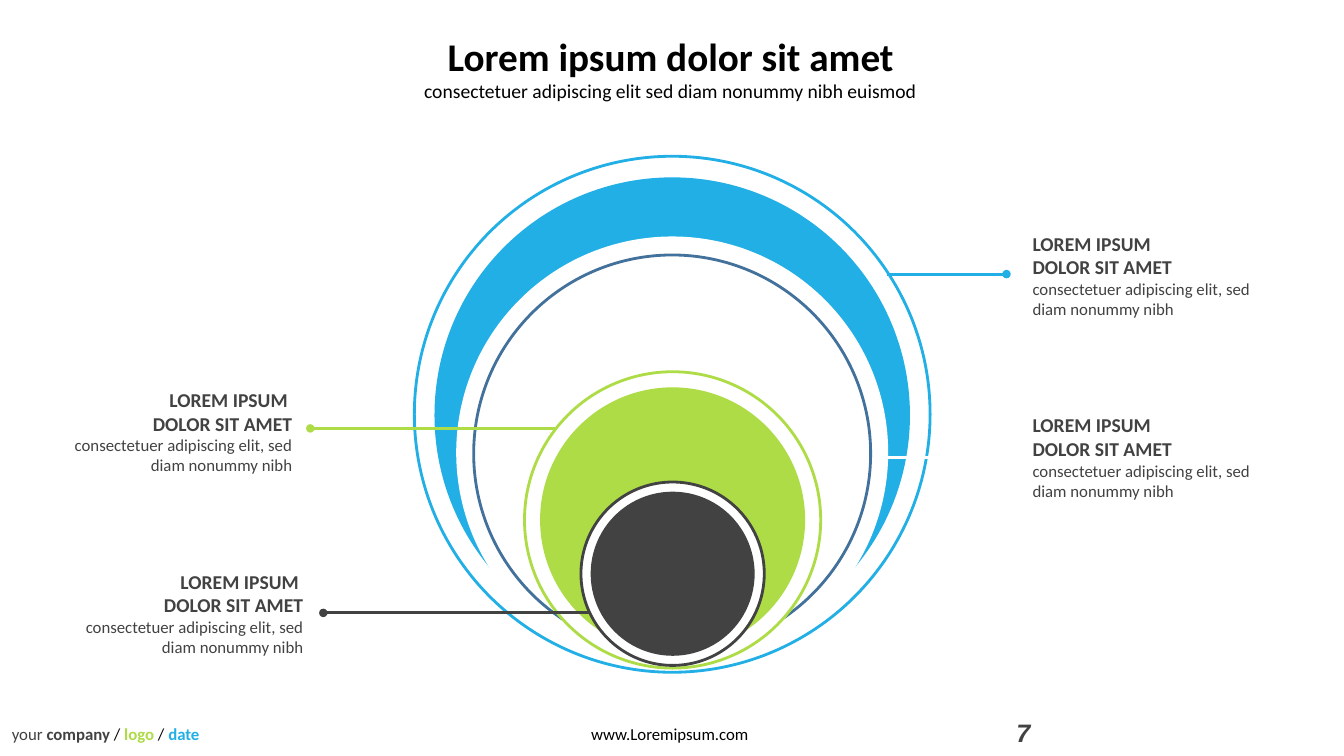
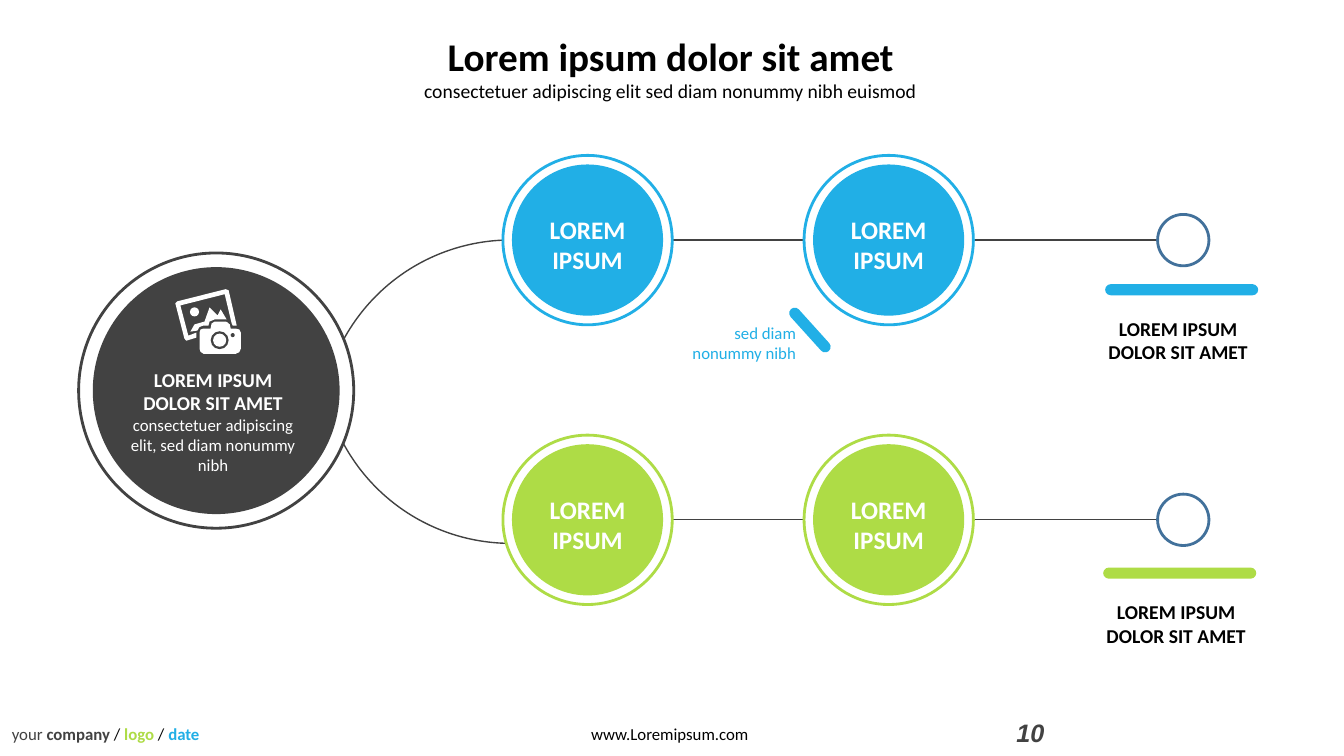
from pptx import Presentation
from pptx.dml.color import RGBColor
from pptx.enum.shapes import MSO_CONNECTOR, MSO_SHAPE
from pptx.enum.text import MSO_ANCHOR, MSO_AUTO_SIZE, PP_ALIGN
from pptx.oxml.ns import qn
from pptx.util import Pt
from lxml.etree import SubElement

BLUE = RGBColor(0x21, 0xAF, 0xE6)
GREEN = RGBColor(0xAE, 0xDC, 0x46)
DARK = RGBColor(0x42, 0x42, 0x42)
NAVY = RGBColor(0x42, 0x71, 0x9B)
WHITE = RGBColor(0xFF, 0xFF, 0xFF)
BLACK = RGBColor(0, 0, 0)
LEFT, MID, RIGHT = PP_ALIGN.LEFT, PP_ALIGN.CENTER, PP_ALIGN.RIGHT

FRAME = [(128.9, 218.2), (160.6, 210.2), (165.6, 231.1), (166.3, 232.6), (169.2, 232.6),
         (163.4, 207.4), (161.3, 206.6), (126.7, 215.3), (125.3, 216.7), (131.8, 241.9),
         (133.2, 243.4), (140.4, 241.2), (140.4, 237.6), (134.6, 239.8)]
HILLS = [(145.4, 232.6), (149, 232.6), (149.8, 229.7), (153.4, 228.2), (162, 228.2),
         (157.7, 221), (155.5, 225.4), (149.8, 219.6), (146.2, 229.7), (139, 231.8),
         (136.1, 236.9), (141.1, 236.2), (142.6, 233.6)]
CAMERA = [(172.1, 237.6), (171, 235.4), (168.5, 234.7), (164.9, 234.7), (164.2, 231.8),
          (162.7, 230.4), (161.3, 229.7), (153.4, 229.7), (151.2, 231.1), (150.5, 234.7),
          (145.4, 234.7), (143.3, 235.4), (142.6, 237.6), (142.6, 249.1), (143.3, 251.3),
          (145.4, 252.7), (168.5, 252.7), (171, 251.6), (172.1, 249.1)]


class Deck:
    font = "Calibri"

    def __init__(self):
        self.prs = Presentation()
        self.prs.slide_width, self.prs.slide_height = Pt(960.48), Pt(540)

    def page(self, number):
        self.slide = self.prs.slides.add_slide(self.prs.slide_layouts[5])
        self.shapes = self.slide.shapes
        title = self.shapes.title
        title.left, title.top, title.width, title.height = Pt(286.6), Pt(19.4), Pt(385.2), Pt(57.6)
        self.fill(title.text_frame, [
            [("Lorem ipsum dolor sit amet", 28, BLACK, True)],
            [("consectetuer adipiscing elit sed diam nonummy nibh euismod", 14, BLACK, False)],
        ], MID)
        self.text(415.4, 513.4, 140, 21.6, [[("www.Loremipsum.com", 12, BLACK, False)]])
        self.text(1.4, 513.4, 160, 21.6, [[
            ("your ", 12, DARK, False), ("company ", 12, DARK, True),
            ("/ ", 12, BLACK, False), ("logo ", 12, GREEN, True),
            ("/ ", 12, BLACK, False), ("date", 12, BLUE, True)]])
        box = self.text(719.3, 509, 216, 28.8, [[(number, 18, DARK, True)]])
        face = box.text_frame.paragraphs[0].runs[0].font
        face.name, face.italic = "Arial", True

    def fill(self, frame, paras, align):
        frame.word_wrap = True
        frame.auto_size = MSO_AUTO_SIZE.NONE
        frame.vertical_anchor = MSO_ANCHOR.TOP
        for i, runs in enumerate(paras):
            para = frame.paragraphs[0] if i == 0 else frame.add_paragraph()
            para.alignment = align
            for words, size, color, bold in runs:
                run = para.add_run()
                run.text = words
                face = run.font
                face.name, face.size, face.bold = self.font, Pt(size), bold
                face.color.rgb = color

    def text(self, x, y, w, h, paras, align=LEFT):
        box = self.shapes.add_textbox(Pt(x), Pt(y), Pt(w), Pt(h))
        self.fill(box.text_frame, paras, align)
        return box

    def paint(self, shape, fill=None, line=None, width=2):
        shape.shadow.inherit = False
        if fill is None:
            shape.fill.background()
        else:
            shape.fill.solid()
            shape.fill.fore_color.rgb = fill
        if line is None:
            shape.line.fill.background()
        else:
            shape.line.color.rgb = line
            shape.line.width = Pt(width)
        return shape

    def shape(self, kind, x, y, w, h):
        return self.shapes.add_shape(kind, Pt(x), Pt(y), Pt(w), Pt(h))

    def disc(self, x, y, size, fill, line=None):
        oval = self.shape(MSO_SHAPE.OVAL, x - size / 2, y - size / 2, size, size)
        self.paint(oval, fill, line)

    def node(self, x, y, outer, inner, color):
        self.disc(x, y, outer, WHITE, color)
        self.disc(x, y, inner, color)

    def bar(self, x, y, w, color, turn=0):
        pill = self.paint(self.shape(MSO_SHAPE.ROUNDED_RECTANGLE, x, y, w, 7.9), color)
        pill.adjustments[0] = 0.5
        pill.rotation = turn

    def arc(self, x, y, size, start, end):
        curve = self.paint(self.shape(MSO_SHAPE.ARC, x, y, size, size), None, DARK, 1)
        for i, angle in enumerate((start, end)):
            curve.adjustments[i] = angle * 0.6

    def line(self, x, y, end, color, width=2, dot=False):
        rule = self.shapes.add_connector(MSO_CONNECTOR.STRAIGHT, Pt(x), Pt(y), Pt(end), Pt(y))
        rule.line.color.rgb = color
        rule.line.width = Pt(width)
        props = rule.element.spPr
        if dot:
            SubElement(props.find(qn("a:ln")), qn("a:tailEnd"), type="oval")
        SubElement(props, qn("a:effectLst"))

    def form(self, points):
        first, *rest = [(Pt(x), Pt(y)) for x, y in points]
        pen = self.shapes.build_freeform(*first, scale=1)
        pen.add_line_segments(rest, close=True)
        self.paint(pen.convert_to_shape(), WHITE)


def rings(deck):
    deck.page("7")
    for y, size, fill, line in (
            (295.9, 368.6, WHITE, BLUE), (296.6, 339.8, BLUE, None),
            (323.3, 306.7, WHITE, WHITE), (324, 283.7, WHITE, NAVY)):
        deck.disc(480.4, y, size, fill, line)
    deck.node(480.7, 371.4, 211.7, 189.4, GREEN)
    deck.node(480.7, 409.8, 131, 117.2, DARK)
    for start, end, y, color, x, top, align in (
            (633.6, 719.3, 195.8, BLUE, 730.8, 162, LEFT),
            (633.6, 719.3, 326.9, WHITE, 730.8, 291.6, LEFT),
            (396.7, 221.8, 306, GREEN, 35.3, 273.6, RIGHT),
            (421.9, 231.1, 437.8, DARK, 43.2, 403.2, RIGHT)):
        deck.line(start, y, end, color, dot=True)
        head = "LOREM IPSUM " if align == RIGHT else "LOREM IPSUM"
        deck.text(x, top, 180.7, 69.8, [
            [(head, 14, DARK, True)], [("DOLOR SIT AMET", 14, DARK, True)],
            [("consectetuer adipiscing elit, sed diam nonummy nibh", 12, DARK, False)]], align)


def photo(deck):
    for points in (FRAME, HILLS, CAMERA):
        deck.form(points)
    for x, y, size, color in (
            (139, 222.8, 6.5, WHITE), (157, 243, 12.8, DARK),
            (157, 243, 9.4, WHITE), (166.3, 239.4, 2.9, DARK)):
        deck.disc(x, y, size, color)


def flow(deck):
    deck.page("10")
    deck.arc(229, 171.4, 272.2, 189.8, 270)
    deck.arc(229, 115.9, 272.2, 90, 170.2)
    head = "LOREM IPSUM DOLOR SIT AMET"
    for y, color, x, bar in ((171.5, BLUE, 789.8, 203), (371.3, GREEN, 788.4, 405.4)):
        deck.line(478, y, 827.3, DARK, 1)
        for spot in (419.9, 635.1):
            deck.node(spot, y, 121, 108, color)
            deck.text(spot - 36.4, y - 21.9, 72.8, 50.4,
                      [[(word, 18, WHITE, True)] for word in ("LOREM", "IPSUM")], MID)
        deck.disc(845.6, y, 36.7, WHITE, NAVY)
        deck.bar(x, bar, 109.4, color)
        deck.text(x - 15.1, bar + 19.8, 134.6, 41, [[(head, 14, BLACK, True)]], MID)
    deck.node(154.5, 279, 196.6, 176.4, DARK)
    deck.text(85, 259.2, 134.6, 84.2, [
        [(head, 14, WHITE, True)],
        [("consectetuer adipiscing elit, sed diam nonummy nibh", 12, WHITE, False)]], MID)
    photo(deck)
    deck.bar(558.7, 231.8, 40.3, BLUE, 47.9)
    deck.text(473, 226.8, 103, 36, [[("sed diam nonummy nibh", 12, BLUE, False)]], RIGHT)


def main():
    deck = Deck()
    rings(deck)
    flow(deck)
    deck.prs.save("out.pptx")


if __name__ == "__main__":
    main()
